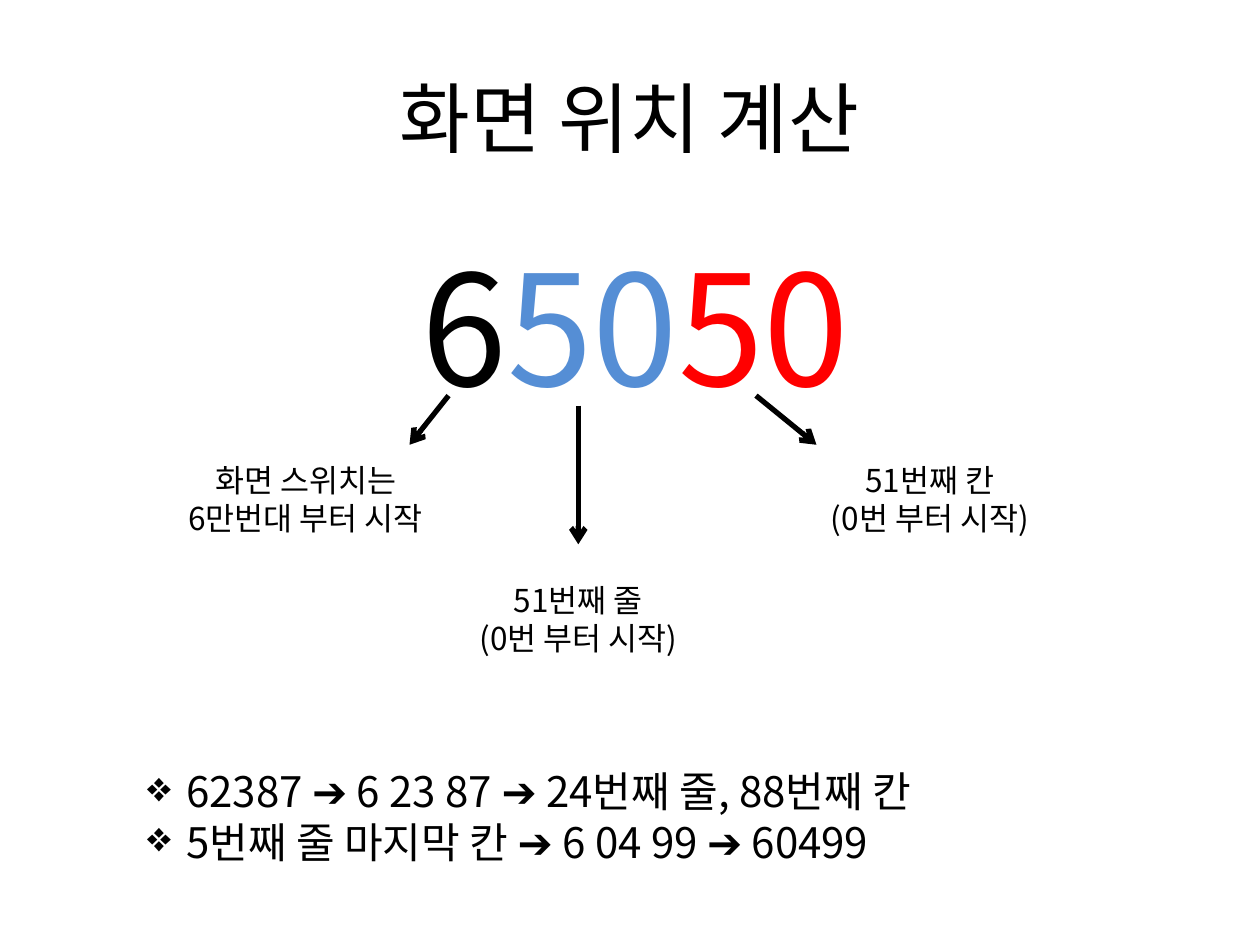
import lxml.etree
import pptx
import pptx.dml.color
import pptx.enum.shapes
import pptx.enum.text
import pptx.oxml.ns
import pptx.util

Inches = pptx.util.Inches
Align = pptx.enum.text.PP_ALIGN
FONT = "Noto Sans CJK KR"
BLACK, BLUE, RED = "000000", "558ED5", "FF0000"


def color(code):
    """Turn a hex string into a colour."""
    return pptx.dml.color.RGBColor.from_string(code)


def add_tag(parent, name, **attrs):
    """Append a drawing element to a parent."""
    tag = pptx.oxml.ns.qn("a:" + name)
    return lxml.etree.SubElement(parent, tag, **attrs)


def style(run, size, code=BLACK):
    """Set the font, size and colour of a run."""
    run.font.size = pptx.util.Pt(size)
    run.font.color.rgb = color(code)
    run.font.name = FONT
    add_tag(run.font._element, "ea", typeface=FONT)


def add_text(slide, box, lines, size, align=Align.LEFT, wrap=False):
    """Place lines of text in a box and return its frame."""
    frame = slide.shapes.add_textbox(*map(Inches, box)).text_frame
    frame.text = "\n".join(lines)
    frame.word_wrap = wrap
    if not wrap:
        frame.auto_size = pptx.enum.text.MSO_AUTO_SIZE.SHAPE_TO_FIT_TEXT
    for para in frame.paragraphs:
        para.alignment = align
        for run in para.runs:
            style(run, size)
    return frame


def add_title(slide, box, text):
    """Place the centred slide title."""
    frame = add_text(slide, box, [text], 44, Align.CENTER, True)
    frame.vertical_anchor = pptx.enum.text.MSO_ANCHOR.MIDDLE


def add_number(slide, box, parts):
    """Place the large number with one colour for each part."""
    frame = add_text(slide, box, [""], 88)
    for text, code in parts:
        run = frame.paragraphs[0].add_run()
        run.text = text
        style(run, 88, code)


def add_arrow(slide, start, end):
    """Draw a black arrow from start to end."""
    kind = pptx.enum.shapes.MSO_CONNECTOR.STRAIGHT
    arrow = slide.shapes.add_connector(kind, *map(Inches, start + end))
    arrow.line.color.rgb = color(BLACK)
    arrow.line.width = pptx.util.Pt(3)
    add_tag(arrow.line._get_or_add_ln(), "tailEnd", type="arrow")
    add_tag(arrow._element.spPr, "effectLst")


def add_note(slide, box, lines, start, end):
    """Place a centred note and the arrow leading to it."""
    add_arrow(slide, start, end)
    add_text(slide, box, lines, 18, Align.CENTER)


def add_list(slide, box, lines):
    """Place the bulleted examples with a hanging indent."""
    frame = add_text(slide, box, lines, 24)
    indent = Inches(0.31)
    for para in frame.paragraphs:
        props = para._p.get_or_add_pPr()
        props.set("marL", str(indent))
        props.set("indent", str(-indent))
        add_tag(props, "buChar", char="❖")


def main():
    """Build the slide and save it."""
    deck = pptx.Presentation()
    deck.slide_width, deck.slide_height = Inches(10), Inches(7.5)
    slide = deck.slides.add_slide(deck.slide_layouts[6])
    add_title(slide, (0.5, 0.3, 9, 1.25), "화면 위치 계산")
    add_number(slide, (3.25, 1.8, 3.6, 1.58),
               [("6", BLACK), ("50", BLUE), ("50", RED)])
    origin = "(0번 부터 시작)"
    notes = [
        ((1.28, 3.61, 2.29, 0.71), ["화면 스위치는", "6만번대 부터 시작"],
         (3.56, 3.14), (3.25, 3.53)),
        ((3.62, 4.56, 1.94, 0.71), ["51번째 줄", origin],
         (4.59, 3.22), (4.59, 4.32)),
        ((6.41, 3.61, 1.94, 0.71), ["51번째 칸", origin],
         (6, 3.14), (6.48, 3.53)),
    ]
    for note in notes:
        add_note(slide, *note)
    add_list(slide, (1.07, 6.03, 7, 0.91),
             ["62387 ➔ 6 23 87 ➔ 24번째 줄, 88번째 칸",
              "5번째 줄 마지막 칸 ➔ 6 04 99 ➔ 60499"])
    deck.save("out.pptx")


if __name__ == "__main__":
    main()
